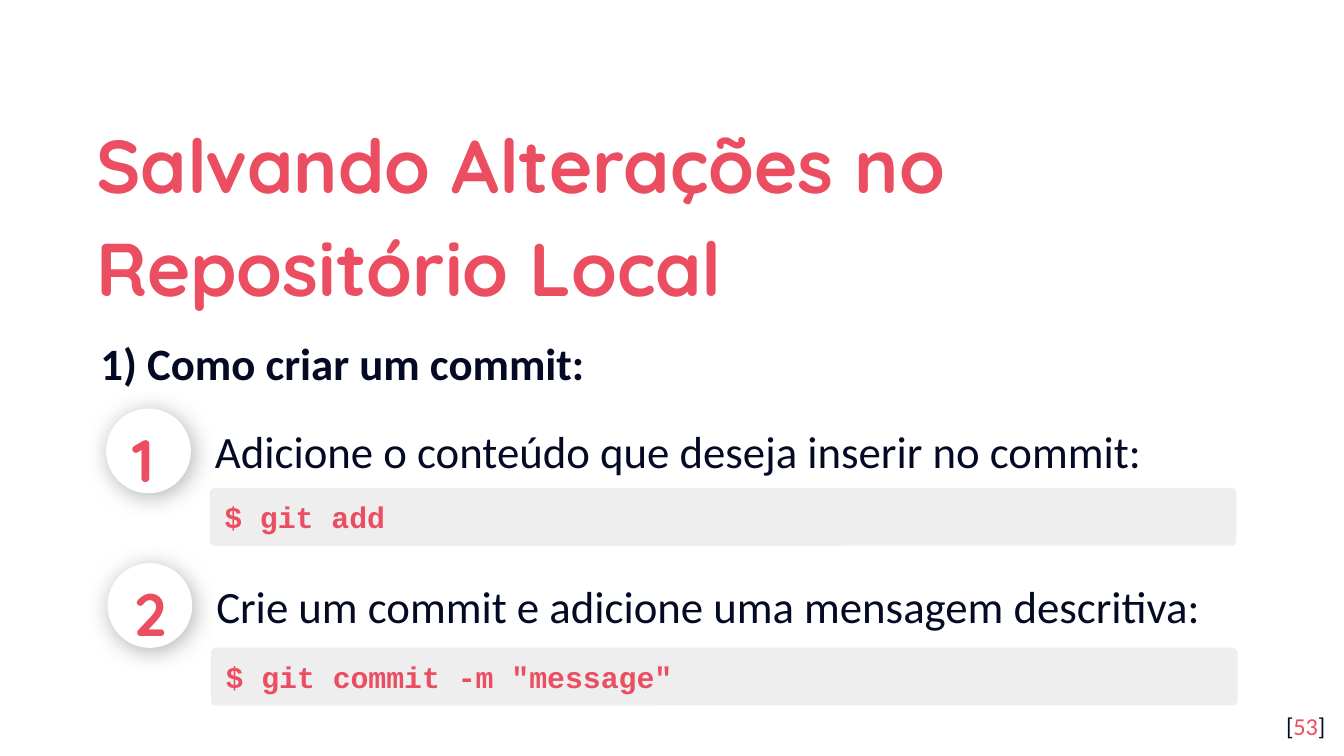
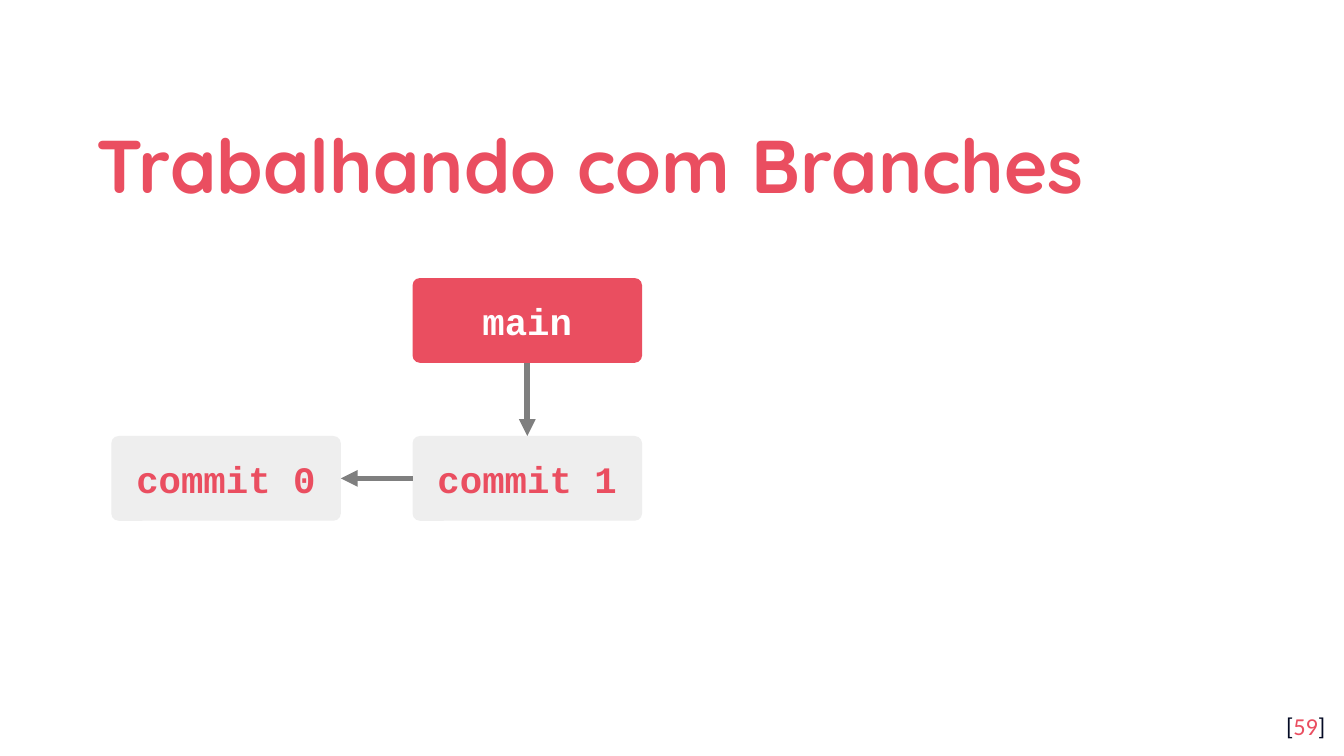
from lxml import etree
from pptx import Presentation
from pptx.dml.color import RGBColor
from pptx.enum import shapes, text
from pptx.oxml import ns
from pptx.util import Pt

CORAL = RGBColor(0xEA, 0x4E, 0x60)
NAVY = RGBColor(0x04, 0x0A, 0x24)
PALE = RGBColor(0xEE, 0xEE, 0xEE)
GREY = RGBColor(0x7F, 0x7F, 0x7F)
WHITE = RGBColor(0xFF, 0xFF, 0xFF)
HEADING, BODY, CODE = "Quicksand", "Calibri", "Courier New"
LEFT, CENTER = text.PP_ALIGN.LEFT, text.PP_ALIGN.CENTER
RIGHT, JUSTIFY = text.PP_ALIGN.RIGHT, text.PP_ALIGN.JUSTIFY
MIDDLE, TOP = text.MSO_ANCHOR.MIDDLE, text.MSO_ANCHOR.TOP


def write(shape, runs, font, size, bold=False, align=LEFT, anchor=MIDDLE,
          inset=7.2, spacing=None, indent=0):
    frame = shape.text_frame
    frame.word_wrap = True
    frame.vertical_anchor = anchor
    frame.margin_left = frame.margin_right = Pt(7.2)
    frame.margin_top = frame.margin_bottom = Pt(inset)
    paragraph = frame.paragraphs[0]
    paragraph.alignment = align
    if spacing:
        paragraph.line_spacing = spacing
    if indent:
        properties = paragraph._p.get_or_add_pPr()
        properties.set("marL", str(Pt(indent)))
        properties.set("indent", "0")
    for words, color in runs:
        run = paragraph.add_run()
        run.text = words
        run.font.name = font
        run.font.size = Pt(size)
        run.font.bold = bold
        run.font.color.rgb = color


def add_code_box(slide, box, words, size, fill=PALE, color=CORAL, align=LEFT):
    shape = slide.shapes.add_shape(shapes.MSO_SHAPE.ROUNDED_RECTANGLE, *map(Pt, box))
    shape.adjustments[0] = 0.087
    shape.shadow.inherit = False
    shape.fill.solid()
    shape.fill.fore_color.rgb = fill
    shape.line.fill.background()
    write(shape, [(words, color)], CODE, size, True, align, inset=3.6)
    return shape


presentation = Presentation()
presentation.slide_width = Pt(720)
presentation.slide_height = Pt(405)

slides = []
for title, top, width, number in [
    ("Salvando Alterações no Repositório Local", 78.5, 522.7, "53"),
    ("Trabalhando com Branches", 51.1, 589.7, "59"),
]:
    slide = presentation.slides.add_slide(presentation.slide_layouts[6])
    slide.background.fill.solid()
    slide.background.fill.fore_color.rgb = WHITE
    title_box = slide.shapes.add_textbox(Pt(44.6), Pt(top), Pt(width), Pt(66.2))
    write(title_box, [(title, CORAL)], HEADING, 40, True, spacing=1.15)
    number_box = slide.shapes.add_textbox(Pt(673.9), Pt(373.7), Pt(43.2), Pt(31))
    write(number_box, [("[", NAVY), (number, CORAL), ("]", NAVY)], BODY, 13,
          align=RIGHT, anchor=TOP)
    slides.append(slide)
commit_slide, branch_slide = slides

for number, left, top, code_top, instruction, command in [
    ("1", 56.9, 218.9, 261.4, "Adicione o conteúdo que deseja inserir no commit:", "$ git add"),
    ("2", 57.6, 301.7, 347, "Crie um commit e adicione uma mensagem descritiva:",
     '$ git commit -m "message"'),
]:
    badge = commit_slide.shapes.add_group_shape()
    circle = badge.shapes.add_shape(
        shapes.MSO_SHAPE.OVAL, Pt(left), Pt(top), Pt(45.4), Pt(45.4))
    circle.shadow.inherit = False
    circle.fill.solid()
    circle.fill.fore_color.rgb = WHITE
    circle.line.fill.background()
    shadow = etree.SubElement(
        circle._element.spPr.find(ns.qn("a:effectLst")), ns.qn("a:outerShdw"),
        blurRad=str(Pt(12.4)), dist=str(Pt(2.2)), dir=str(53 * 60000),
        algn="ctr", rotWithShape="0")
    shade = etree.SubElement(shadow, ns.qn("a:srgbClr"), val="666666")
    etree.SubElement(shade, ns.qn("a:alpha"), val="50000")
    digit = badge.shapes.add_textbox(Pt(left + 7.2), Pt(top + 5.8), Pt(31), Pt(36))
    write(digit, [(number, CORAL)], HEADING, 32, True, spacing=1.15)

    step = commit_slide.shapes.add_textbox(
        Pt(left + 45.4), Pt(top + 3.6), Pt(560.2), Pt(38.2))
    write(step, [(instruction, NAVY)], BODY, 24, align=JUSTIFY, indent=5.76)
    add_code_box(commit_slide, (left + 55.4, code_top, 550, 31), command, 16)

question = commit_slide.shapes.add_textbox(Pt(41), Pt(176.4), Pt(621.4), Pt(36))
write(question, [("1) Como criar um commit:", NAVY)], BODY, 24, True, JUSTIFY, TOP,
      inset=3.6, indent=5.76)

main, first_commit, second_commit = [
    add_code_box(branch_slide, (left, top, 123, 45.4), words, 20, fill, color, CENTER)
    for left, top, words, fill, color in [
        (221, 149, "main", CORAL, WHITE),
        (59.6, 233.6, "commit 0", PALE, CORAL),
        (221, 233.6, "commit 1", PALE, CORAL),
    ]
]
for source, source_site, target, target_site in [
    (main, 2, second_commit, 0),
    (second_commit, 1, first_commit, 3),
]:
    arrow = branch_slide.shapes.add_connector(shapes.MSO_CONNECTOR.STRAIGHT, 0, 0, 0, 0)
    arrow.begin_connect(source, source_site)
    arrow.end_connect(target, target_site)
    arrow.line.color.rgb = GREY
    arrow.line.width = Pt(3)
    etree.SubElement(arrow.line._get_or_add_ln(), ns.qn("a:tailEnd"), type="triangle")
    etree.SubElement(arrow._element.spPr, ns.qn("a:effectLst"))

presentation.save("out.pptx")
